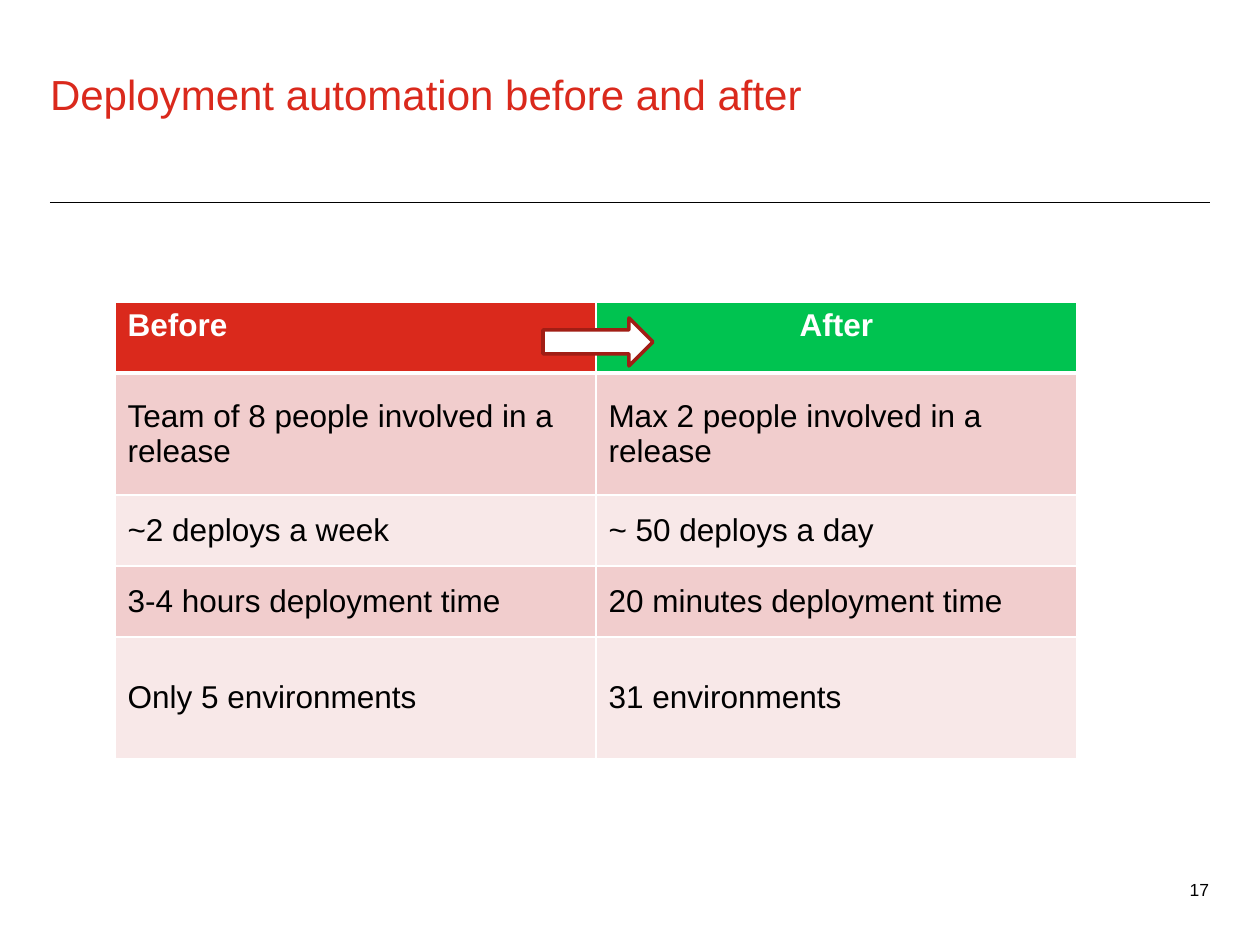
import dataclasses

import pptx
import pptx.dml.color
import pptx.enum.shapes
import pptx.enum.text
import pptx.oxml
import pptx.oxml.ns
import pptx.util

PX = 914400 // 126
FONT = "Arial"
BLACK, WHITE, RED, GREEN = "000000", "FFFFFF", "DA291C", "00C350"
DARK_RED, ROSE, PALE_ROSE = "A11E15", "F1CDCD", "F8E8E8"
ALIGN = pptx.enum.text.PP_ALIGN
ANCHOR = pptx.enum.text.MSO_ANCHOR


@dataclasses.dataclass
class Box:
    left: int
    top: int
    width: int
    height: int

    def emu(self) -> tuple[int, ...]:
        return tuple(px(v) for v in dataclasses.astuple(self))


@dataclasses.dataclass
class Row:
    before: str
    after: str
    height: int


ROWS = [
    Row("Before", "After", 71),
    Row("Team of 8 people involved in a release",
        "Max 2 people involved in a release", 122),
    Row("~2 deploys a week", "~ 50 deploys a day", 71),
    Row("3-4 hours deployment time", "20 minutes deployment time", 71),
    Row("Only 5 environments", "31 environments", 122),
]


def px(value: int) -> int:
    return pptx.util.Emu(value * PX)


def rgb(value: str) -> pptx.dml.color.RGBColor:
    return pptx.dml.color.RGBColor.from_string(value)


def set_text(tf, text: str, size: int, color: str, bold: bool = False,
             align=ALIGN.LEFT, spacing: float = 1.0) -> None:
    tf.text = text
    p = tf.paragraphs[0]
    p.alignment = align
    p.line_spacing = spacing
    font = p.runs[0].font
    font.name, font.size, font.bold = FONT, pptx.util.Pt(size), bold
    font.color.rgb = rgb(color)


def set_frame(tf) -> None:
    """Remove the insets and anchor wrapped text at the top."""
    tf.margin_left = tf.margin_right = tf.margin_top = tf.margin_bottom = 0
    tf.word_wrap = True
    tf.vertical_anchor = ANCHOR.TOP
    tf.auto_size = pptx.enum.text.MSO_AUTO_SIZE.NONE


def set_borders(cell, widths: dict[str, int]) -> None:
    tc_pr = cell._tc.get_or_add_tcPr()
    for side, width in widths.items():
        tc_pr.append(pptx.oxml.parse_xml(
            f'<a:ln{side} {pptx.oxml.ns.nsdecls("a")} w="{pptx.util.Pt(width)}">'
            f'<a:solidFill><a:srgbClr val="{WHITE}"/></a:solidFill></a:ln{side}>'))


def add_title(s, text: str, box: Box) -> None:
    sp = s.shapes.title
    sp.left, sp.top, sp.width, sp.height = box.emu()
    set_frame(sp.text_frame)
    set_text(sp.text_frame, text, 24, RED, spacing=0.85)


def add_page_number(s, text: str, box: Box) -> None:
    tf = s.shapes.add_textbox(*box.emu()).text_frame
    set_frame(tf)
    set_text(tf, text, 10, BLACK, align=ALIGN.RIGHT, spacing=0.85)


def add_rule(s, left: int, right: int, y: int) -> None:
    line = s.shapes.add_connector(pptx.enum.shapes.MSO_CONNECTOR.STRAIGHT,
                                  px(left), px(y), px(right), px(y))
    line.line.color.rgb = rgb(BLACK)
    line.line.width = pptx.util.Pt(0.5)
    line._element.spPr.append(
        pptx.oxml.parse_xml(f'<a:effectLst {pptx.oxml.ns.nsdecls("a")}/>'))


def add_comparison(s, rows: list[Row], left: int, top: int, col_width: int) -> None:
    box = Box(left, top, 2 * col_width, sum(row.height for row in rows))
    table = s.shapes.add_table(len(rows), 2, *box.emu()).table
    for column in table.columns:
        column.width = px(col_width)
    for i, row in enumerate(rows):
        table.rows[i].height = px(row.height)
        header = i == 0
        for j, text in enumerate((row.before, row.after)):
            cell = table.cell(i, j)
            if header:
                fill = (RED, GREEN)[j]
            else:
                fill = ROSE if i % 2 else PALE_ROSE
            set_borders(cell, {"L": 1, "R": 1, "T": 3 if i == 1 else 1,
                               "B": 3 if header else 1})
            cell.fill.solid()
            cell.fill.fore_color.rgb = rgb(fill)
            cell.vertical_anchor = ANCHOR.TOP if header else ANCHOR.MIDDLE
            set_text(cell.text_frame, text, 18, WHITE if header else BLACK, header,
                     ALIGN.CENTER if header and j == 1 else ALIGN.LEFT)


def add_arrow(s, box: Box) -> None:
    sp = s.shapes.add_shape(pptx.enum.shapes.MSO_SHAPE.RIGHT_ARROW, *box.emu())
    sp.shadow.inherit = False
    sp.fill.solid()
    sp.fill.fore_color.rgb = rgb(WHITE)
    sp.line.color.rgb = rgb(DARK_RED)
    sp.line.width = pptx.util.Pt(2)


def main() -> None:
    prs = pptx.Presentation()
    prs.slide_width, prs.slide_height = px(1260), px(945)
    s = prs.slides.add_slide(prs.slide_layouts.get_by_name("Title Only"))
    add_rule(s, 50, 1210, 202)
    add_title(s, "Deployment automation before and after", Box(50, 76, 964, 111))
    add_page_number(s, "17", Box(1155, 882, 54, 25))
    add_comparison(s, ROWS, 115, 302, 481)
    add_arrow(s, Box(543, 318, 110, 48))
    prs.save("out.pptx")


if __name__ == "__main__":
    main()
